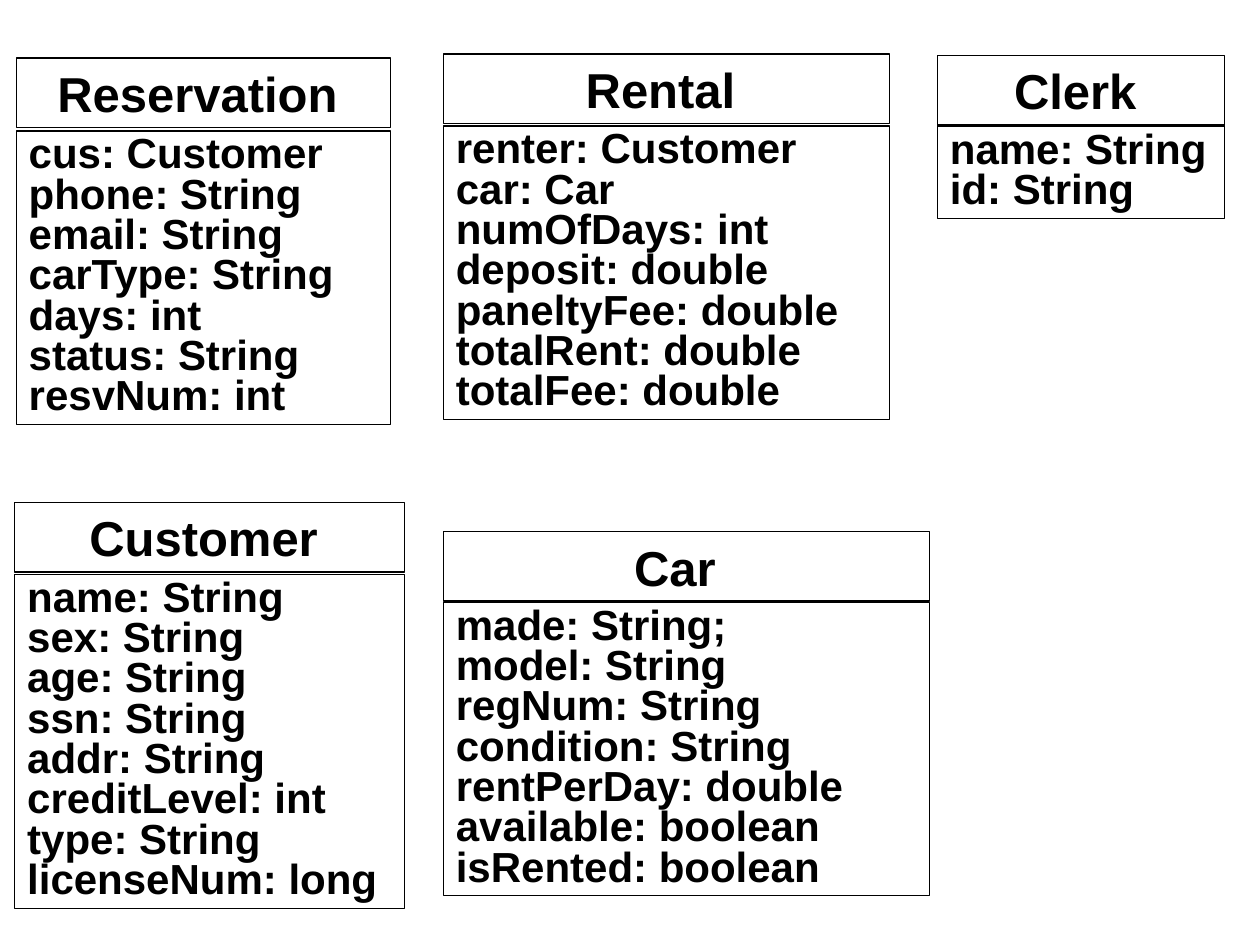
from pptx import Presentation
from pptx.dml.color import RGBColor
from pptx.enum.shapes import MSO_SHAPE as Shape
from pptx.enum.text import MSO_ANCHOR as Anchor, MSO_AUTO_SIZE as Fit, PP_ALIGN as Align
from pptx.util import Cm, Pt

COLORS = {"ink": "000000"}
HEAD, ROW, PAD = 1.4, 0.81, 0.25

TABLES = [
    ("Reservation", (0.33, 1.17, 7.54), 1.47, 0.24,
     ["cus: Customer", "phone: String", "email: String", "carType: String",
      "days: int", "status: String", "resvNum: int"]),
    ("Customer", (0.3, 10.13, 7.85), 1.45, 0.24,
     ["name: String", "sex: String", "age: String", "ssn: String",
      "addr: String", "creditLevel: int", "type: String", "licenseNum: long"]),
    ("Rental", (8.94, 1.09, 8.99), 1.45, 0.24,
     ["renter: Customer", "car: Car", "numOfDays: int", "deposit: double",
      "paneltyFee: double", "totalRent: double", "totalFee: double"]),
    ("Car", (8.94, 10.72, 9.8), 1.42, 0.47,
     ["made: String;", "model: String", "regNum: String", "condition: String",
      "rentPerDay: double", "available: boolean", "isRented: boolean"]),
    ("Clerk", (18.9, 1.12, 5.79), 1.42, 0.24,
     ["name: String", "id: String"]),
]


def add_box(slide, box, lines, size, align, space):
    """Draw an outlined box of bold lines and return its text frame."""
    ink = RGBColor.from_string(COLORS["ink"])
    shape = slide.shapes.add_shape(Shape.RECTANGLE, *map(Cm, box))
    shape.shadow.inherit = False
    shape.fill.background()
    shape.line.color.rgb = ink
    shape.line.width = Pt(0.75)
    frame = shape.text_frame
    frame.word_wrap = True
    frame.vertical_anchor = Anchor.MIDDLE
    frame.text = "\n".join(lines)
    for para in frame.paragraphs:
        para.alignment = align
        para.line_spacing = space
        font = para.font
        font.name, font.size, font.bold = "Arial", Pt(size), True
        font.color.rgb = ink
    return frame


def add_class(slide, box, name, drop, shift, fields):
    """Draw a class: its name above its fields, drop below the top."""
    left, top, width = box
    head = add_box(slide, (left, top, width, HEAD), [name], 28, Align.CENTER, 1.0)
    head.margin_right = Cm(PAD + shift)
    height = len(fields) * ROW + PAD
    body = add_box(slide, (left, top + drop, width, height), fields, 24, Align.LEFT, 0.8)
    body.auto_size = Fit.SHAPE_TO_FIT_TEXT


def main():
    """Build the class diagram slide."""
    deck = Presentation()
    deck.slide_width, deck.slide_height = Cm(25.4), Cm(19.05)
    slide = deck.slides.add_slide(deck.slide_layouts[6])
    for name, box, drop, shift, fields in TABLES:
        add_class(slide, box, name, drop, shift, fields)
    deck.save("out.pptx")


if __name__ == "__main__":
    main()
